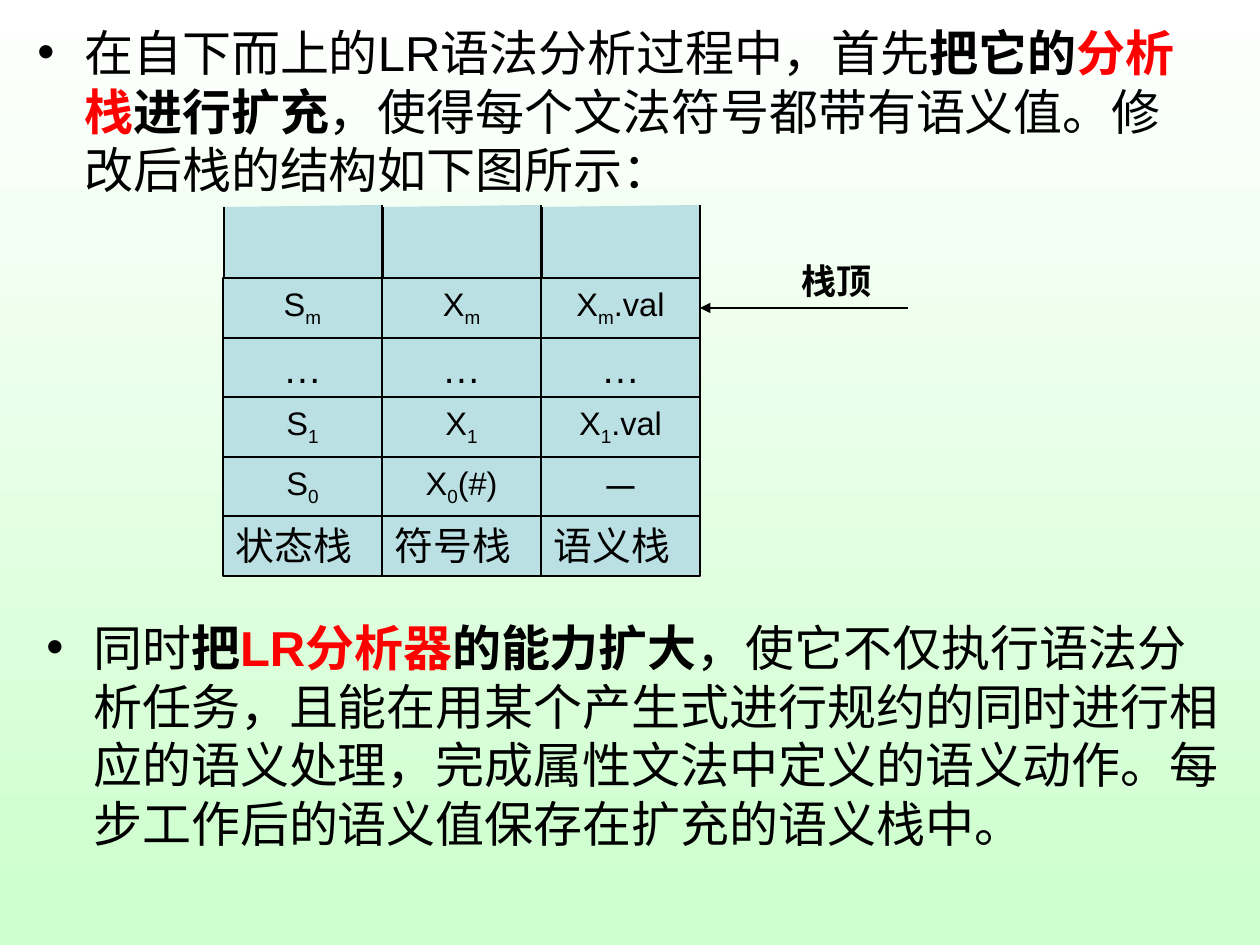
import pptx
import pptx.util
import pptx.dml.color
import pptx.enum.shapes
import pptx.enum.text
import pptx.oxml.ns
import lxml.etree

PX = 914400 / 126
INK = {"text": "000000", "mark": "FF0000", "cell": "BBE0E3", "top": "FFFFFF", "base": "CCFFCC"}
ALIGN = pptx.enum.text.PP_ALIGN


def px(*nums):
    return [round(n * PX) for n in nums]


# Runs are (text, style) pairs; style letters: b bold, r red, s subscript
def write(shape, runs, size, align=ALIGN.LEFT, bullet=False):
    frame = shape.text_frame
    frame.word_wrap = True
    frame.vertical_anchor = pptx.enum.text.MSO_ANCHOR.TOP
    para = frame.paragraphs[0]
    para.alignment = align
    if bullet:
        props = para._p.get_or_add_pPr()
        props.set("marL", str(px(47)[0]))
        props.set("indent", str(px(-47)[0]))
        tint = lxml.etree.SubElement(props, pptx.oxml.ns.qn("a:buClr"))
        lxml.etree.SubElement(tint, pptx.oxml.ns.qn("a:srgbClr"), val=INK["text"])
        lxml.etree.SubElement(props, pptx.oxml.ns.qn("a:buFont"), typeface="Arial")
        lxml.etree.SubElement(props, pptx.oxml.ns.qn("a:buChar"), char="•")
    for text, style in runs:
        run = para.add_run()
        run.text = text
        run.font.size = pptx.util.Pt(size)
        run.font.name = "Arial"
        run.font.bold = "b" in style
        color = INK["mark" if "r" in style else "text"]
        run.font.color.rgb = pptx.dml.color.RGBColor.from_string(color)
        props = run._r.get_or_add_rPr()
        lxml.etree.SubElement(props, pptx.oxml.ns.qn("a:ea"), typeface="Arial")
        if "s" in style:
            props.set("baseline", "-25000")


deck = pptx.Presentation()
deck.slide_width, deck.slide_height = px(1260, 945)
slide = deck.slides.add_slide(deck.slide_layouts[6])
shapes = slide.shapes

# Background fade from top to bottom
back = slide.background.fill
back.gradient()
back.gradient_angle = 270
for stop, name, place in zip(back.gradient_stops, ("top", "base"), (0, 1)):
    stop.color.rgb = pptx.dml.color.RGBColor.from_string(INK[name])
    stop.position = place

# Two bullet points
points = [
    ((25, 16, 1172, 199), [
        ("在自下而上的LR语法分析过程中，首先", ""), ("把它的", "b"), ("分析栈", "br"),
        ("进行扩充", "b"),
        ("，使得每个文法符号都带有语义值。修改后栈的结构如下图所示：", "")]),
    ((34, 611, 1201, 268), [
        ("同时", ""), ("把", "b"), ("LR分析器", "br"), ("的能力扩大", "b"),
        ("，使它不仅执行语法分析任务，且能在用某个产生式进行规约的同时进行相应的语义处理，"
         "完成属性文法中定义的语义动作。每步工作后的语义值保存在扩充的语义栈中。", "")]),
]
for area, runs in points:
    write(shapes.add_textbox(*px(*area)), runs, 28, bullet=True)

# Three stacks, each listed from the top cell down to its name
dots = [("…", "")]
stacks = [
    [[("S", ""), ("m", "s")], dots, [("S", ""), ("1", "s")],
     [("S", ""), ("0", "s")], [("状态栈", "")]],
    [[("X", ""), ("m", "s")], dots, [("X", ""), ("1", "s")],
     [("X", ""), ("0", "s"), ("(#)", "")], [("符号栈", "")]],
    [[("X", ""), ("m", "s"), (".val", "")], dots, [("X", ""), ("1", "s"), (".val", "")],
     [("－", "")], [("语义栈", "")]],
]
LEFT, TOP, WIDE = 223, 278, 159
edges = [round(TOP + 59.6 * row) for row in range(6)]
for col, stack in enumerate(stacks):
    x = LEFT + WIDE * col
    parts = []
    for row, runs in enumerate(stack):
        cell = shapes.add_shape(pptx.enum.shapes.MSO_SHAPE.RECTANGLE,
                                *px(x, edges[row], WIDE, edges[row + 1] - edges[row]))
        last = row == len(stack) - 1
        write(cell, runs, 22.2 if last or len(runs) == 1 else 18.6,
              align=ALIGN.LEFT if last else ALIGN.CENTER)
        parts.append(cell)
    # Open end above the top cell
    pen = shapes.build_freeform(*px(x + 1, 207), scale=1.0)
    pen.add_line_segments([px(x + 1, TOP), px(x + WIDE, TOP), px(x + WIDE, 205)], close=False)
    for part in parts + [pen.convert_to_shape()]:
        part.shadow.inherit = False
        part.fill.solid()
        part.fill.fore_color.rgb = pptx.dml.color.RGBColor.from_string(INK["cell"])
        part.line.color.rgb = pptx.dml.color.RGBColor.from_string(INK["text"])
        part.line.width = pptx.util.Pt(1)

# Arrow to the top cell of the last stack
arrow = shapes.add_connector(pptx.enum.shapes.MSO_CONNECTOR.STRAIGHT, *px(908, 308, 700, 308))
arrow.end_connect(parts[0], 3)
arrow.line.color.rgb = pptx.dml.color.RGBColor.from_string(INK["text"])
arrow.line.width = pptx.util.Pt(1)
lxml.etree.SubElement(arrow.line._get_or_add_ln(), pptx.oxml.ns.qn("a:tailEnd"), type="triangle")
lxml.etree.SubElement(arrow._element.spPr, pptx.oxml.ns.qn("a:effectLst"))
write(shapes.add_textbox(*px(789, 253, 118, 55)), [("栈顶", "b")], 20)

deck.save("out.pptx")
